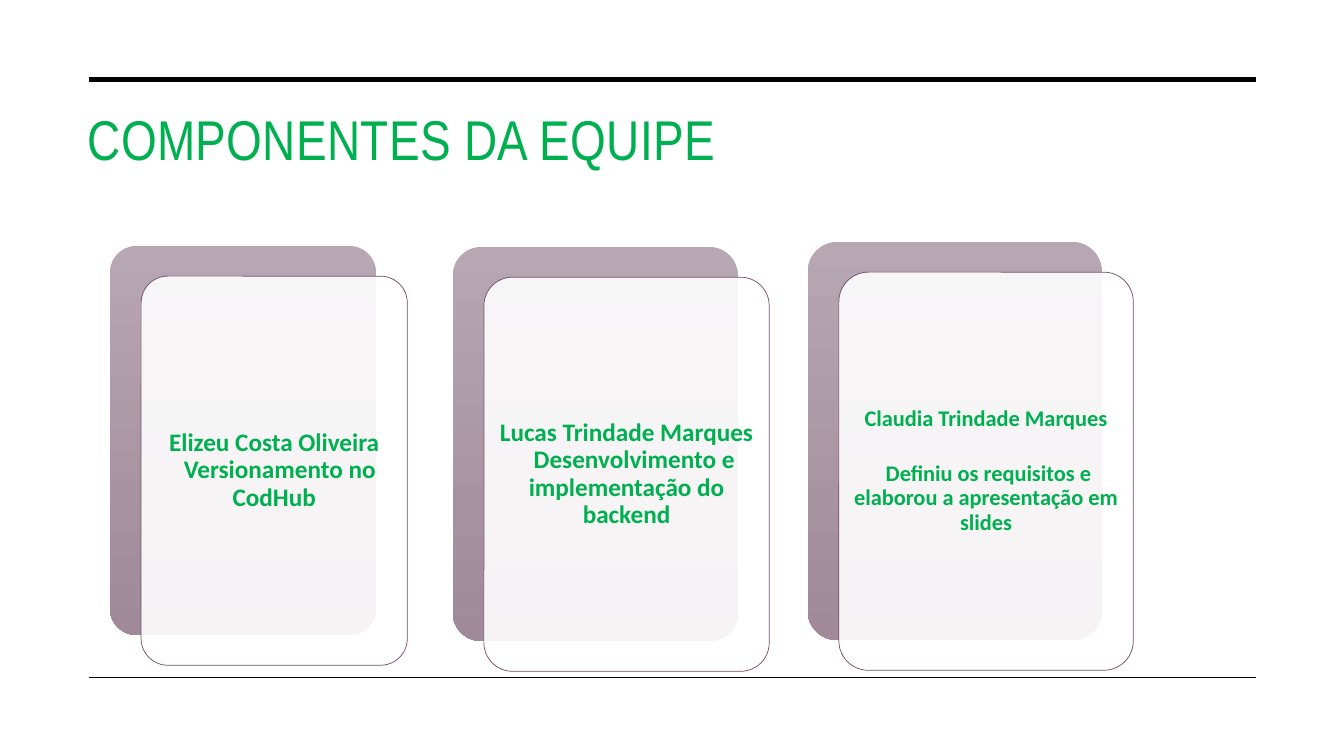
from pptx import Presentation
from pptx.dml.color import RGBColor
from pptx.enum.shapes import MSO_CONNECTOR, MSO_SHAPE
from pptx.enum.text import MSO_ANCHOR, PP_ALIGN
from pptx.oxml.ns import qn
from pptx.util import Inches, Pt
from lxml.etree import SubElement

COLORS = {
    "rule": "000000",
    "text": "00B050",
    "gradient_top": "B7A7B2",
    "gradient_bottom": "A08998",
    "panel": "FFFFFF",
    "outline": "734B67",
}
RULE_LEFT, RULE_RIGHT = 0.88, 12.46
PANEL_SHIFT = 0.31, 0.3
TEXT_MARGIN = 0.08

# left, top, width, height, font size, space after name, lines of text
# each line of text has its first-line indent in inches
CARDS = [
    (1.09, 2.44, 2.64, 3.86, 18, 0,
     [("Elizeu Costa Oliveira", -0.22), ("Versionamento no CodHub", 0.11)]),
    (4.49, 2.45, 2.83, 3.91, 18, 0,
     [("Lucas Trindade Marques", 0),
      ("Desenvolvimento e implementação do backend", 0.15)]),
    (8.01, 2.4, 2.92, 3.95, 16, 22,
     [("Claudia Trindade Marques", -0.2),
      ("Definiu os requisitos e elaborou a apresentação em slides", 0.05)]),
]


def color(name):
    return RGBColor.from_string(COLORS[name])


def add_rounded(slide, left, top, width, height):
    shape = slide.shapes.add_shape(
        MSO_SHAPE.ROUNDED_RECTANGLE,
        Inches(left), Inches(top), Inches(width), Inches(height))
    shape.adjustments[0] = 0.1
    shape.shadow.inherit = False
    return shape


presentation = Presentation()
presentation.slide_width = Inches(13.33)
presentation.slide_height = Inches(7.5)
slide = presentation.slides.add_slide(presentation.slide_layouts[5])

# Rules above and below the content
for top, weight in [(0.79, 3.5), (6.72, 1)]:
    rule = slide.shapes.add_connector(
        MSO_CONNECTOR.STRAIGHT,
        Inches(RULE_LEFT), Inches(top), Inches(RULE_RIGHT), Inches(top))
    rule.line.color.rgb = color("rule")
    rule.line.width = Pt(weight)
    SubElement(rule._element.spPr, qn("a:effectLst"))

# Title
title = slide.shapes.title
title.left, title.top = Inches(0.77), Inches(0.99)
title.width, title.height = Inches(11.69), Inches(1.26)
title.text_frame.vertical_anchor = MSO_ANCHOR.TOP
paragraph = title.text_frame.paragraphs[0]
paragraph.alignment = PP_ALIGN.LEFT
run = paragraph.add_run()
run.text = "COMPONENTES DA EQUIPE"
run.font.name = "Arial Narrow"
run.font.size = Pt(40)
run.font.color.rgb = color("text")
run.font._element.set("spc", "30")

# Team member cards
for left, top, width, height, size, space_after, lines in CARDS:
    # Gradient backing
    backing = add_rounded(slide, left, top, width, height)
    backing.fill.gradient()
    backing.fill.gradient_angle = 270
    for stop, name in zip(backing.fill.gradient_stops,
                          ["gradient_top", "gradient_bottom"]):
        stop.color.rgb = color(name)
    backing.line.fill.background()

    # Translucent panel
    panel_left, panel_top = left + PANEL_SHIFT[0], top + PANEL_SHIFT[1]
    panel = add_rounded(slide, panel_left, panel_top, width, height)
    panel.fill.solid()
    panel.fill.fore_color.rgb = color("panel")
    panel_color = panel._element.spPr.find(
        qn("a:solidFill")).find(qn("a:srgbClr"))
    SubElement(panel_color, qn("a:alpha"), val="90000")
    panel.line.color.rgb = color("outline")
    panel.line.width = Pt(0.5)

    # Name and role
    box = slide.shapes.add_textbox(
        Inches(panel_left + TEXT_MARGIN), Inches(panel_top + TEXT_MARGIN),
        Inches(width - 2 * TEXT_MARGIN), Inches(height - 2 * TEXT_MARGIN))
    frame = box.text_frame
    frame.word_wrap = True
    frame.vertical_anchor = MSO_ANCHOR.MIDDLE
    frame.margin_left = frame.margin_right = Inches(0.07)
    frame.margin_top = frame.margin_bottom = Inches(0.07)
    for index, (text, indent) in enumerate(lines):
        paragraph = frame.add_paragraph() if index else frame.paragraphs[0]
        paragraph.alignment = PP_ALIGN.CENTER
        paragraph.line_spacing = 0.9
        paragraph.space_after = Pt(0 if index else space_after)
        properties = paragraph._element.get_or_add_pPr()
        properties.set("marL", "0")
        properties.set("indent", str(Inches(indent)))
        run = paragraph.add_run()
        run.text = text
        run.font.name = "Calibri"
        run.font.size = Pt(size)
        run.font.bold = True
        run.font.color.rgb = color("text")

presentation.save("out.pptx")
